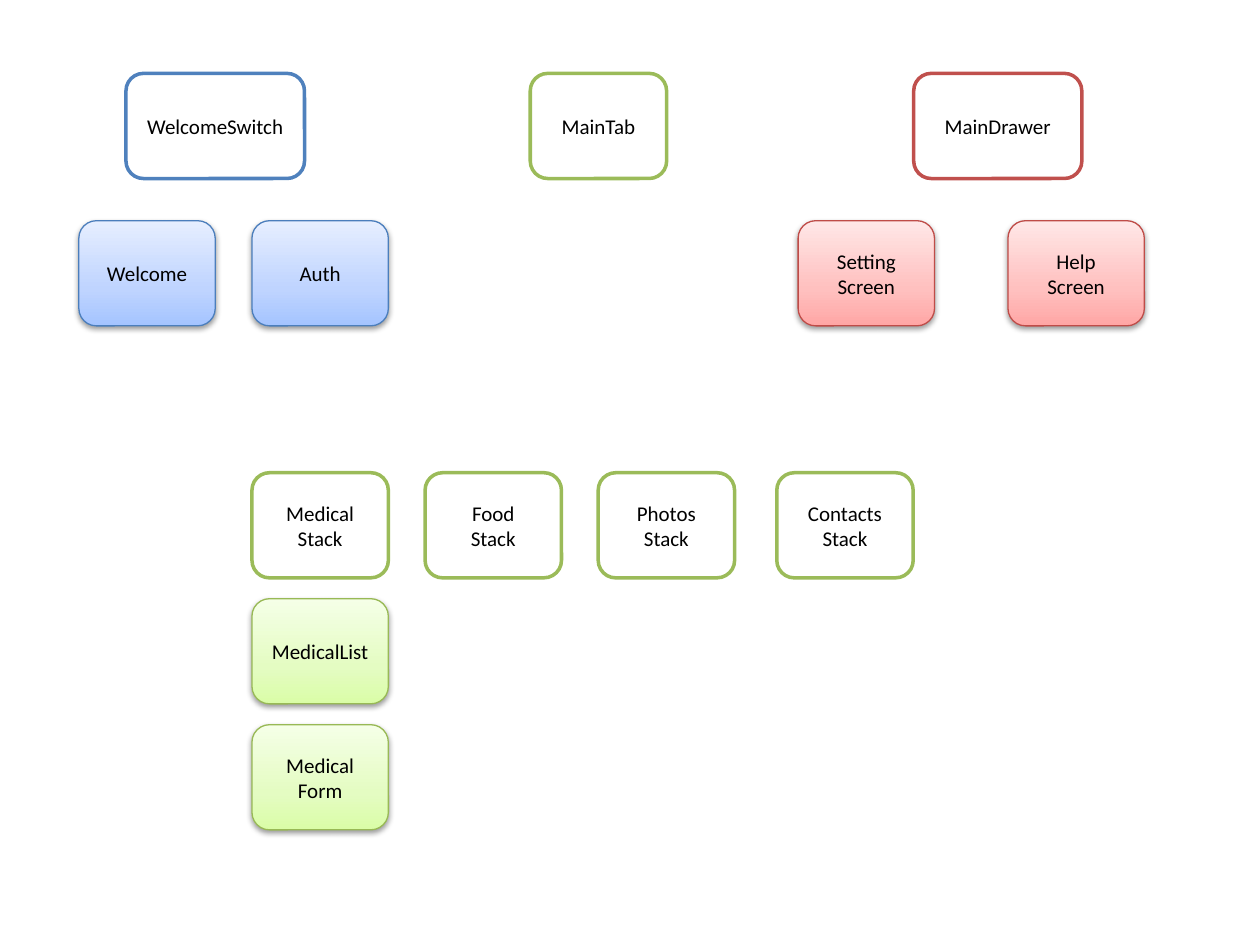
from dataclasses import dataclass

from lxml.etree import SubElement
from pptx import Presentation
from pptx.dml.color import RGBColor
from pptx.enum.shapes import MSO_SHAPE
from pptx.enum.text import MSO_ANCHOR, PP_ALIGN
from pptx.oxml.ns import qn
from pptx.util import Cm, Pt


@dataclass(frozen=True)
class Tint:
    """Colours of one navigator family."""
    frame: str
    edge: str
    stops: tuple


@dataclass(frozen=True)
class Theme:
    """Colours, type and line sizes of the slide."""
    blue: Tint = Tint("4F81BD", "4B7EBC", ("A4C4FF", "BFD4FF", "E6EEFF"))
    green: Tint = Tint("9BBB59", "98B955", ("DAFDA7", "E4FCC2", "F5FFE7"))
    red: Tint = Tint("C0504D", "BF4C48", ("FFA6A5", "FFC0BF", "FFE7E7"))
    paper: str = "FFFFFF"
    ink: str = "000000"
    font: str = "Calibri"
    size: float = 12
    thick: float = 2
    thin: float = 0.75


THEME = Theme()
WIDTH, HEIGHT = 2.75, 2.12
LEFT, PITCH = 1.59, 3.49
TOP, SCREENS, STACKS, STEP = 1.48, 4.45, 9.53, 2.54


def add_color(parent, value, alpha=None):
    """Add an RGB colour, with opacity in percent if given."""
    color = SubElement(parent, qn("a:srgbClr"), val=value)
    if alpha is not None:
        SubElement(color, qn("a:alpha"), val=str(alpha * 1000))


def add_fade(shape, stops):
    """Fill a shape with three stops running from bottom to top."""
    shape.fill.gradient()
    shape.fill.gradient_angle = 90
    rail = shape._element.spPr.find(qn("a:gradFill")).find(qn("a:gsLst"))
    for stop in list(rail):
        rail.remove(stop)
    for place, value in zip((0, 35, 100), stops):
        add_color(SubElement(rail, qn("a:gs"), pos=str(place * 1000)), value)


def add_shadow(shape):
    """Drop a soft shadow just below a shape."""
    effects = shape._element.spPr.find(qn("a:effectLst"))
    drop = SubElement(effects, qn("a:outerShdw"), blurRad=str(Pt(3.15)),
                      dist=str(Pt(1.57)), dir="5400000", rotWithShape="0")
    add_color(drop, THEME.ink, 38)


def add_box(slide, text, left, top, width=WIDTH):
    """Add a rounded box with centred text."""
    box = slide.shapes.add_shape(MSO_SHAPE.ROUNDED_RECTANGLE, Cm(left),
                                 Cm(top), Cm(width), Cm(HEIGHT))
    box.shadow.inherit = False
    frame = box.text_frame
    frame.text = text
    frame.word_wrap = True
    frame.vertical_anchor = MSO_ANCHOR.MIDDLE
    for line in frame.paragraphs:
        line.alignment = PP_ALIGN.CENTER
        line.font.name = THEME.font
        line.font.size = Pt(THEME.size)
        line.font.color.rgb = RGBColor.from_string(THEME.ink)
    return box


def set_line(box, value, width):
    """Set the outline of a box."""
    box.line.color.rgb = RGBColor.from_string(value)
    box.line.width = Pt(width)


def add_group(slide, tint, text, left, top, width=WIDTH):
    """Add a white, outlined navigator box."""
    box = add_box(slide, text, left, top, width)
    box.fill.solid()
    box.fill.fore_color.rgb = RGBColor.from_string(THEME.paper)
    set_line(box, tint.frame, THEME.thick)


def add_screen(slide, tint, text, left, top):
    """Add a shaded screen box."""
    box = add_box(slide, text, left, top)
    add_fade(box, tint.stops)
    set_line(box, tint.edge, THEME.thin)
    add_shadow(box)


def main():
    """Build the navigation map."""
    deck = Presentation()
    deck.slide_width, deck.slide_height = Cm(25.4), Cm(19.05)
    slide = deck.slides.add_slide(deck.slide_layouts[6])
    cols = [LEFT + PITCH * i for i in range(4)]

    add_group(slide, THEME.blue, "WelcomeSwitch", 2.54, TOP, 3.6)
    add_group(slide, THEME.green, "MainTab", 10.69, TOP)
    add_group(slide, THEME.red, "MainDrawer", 18.42, TOP, 3.39)

    for text, left in zip(("Welcome", "Auth"), cols):
        add_screen(slide, THEME.blue, text, left, SCREENS)
    for text, left in (("Setting Screen", 16.09), ("Help Screen", 20.32)):
        add_screen(slide, THEME.red, text, left, SCREENS)

    names = ("Medical", "Food", "Photos", "Contacts")
    for name, left in zip(names, cols[1:] + [15.66]):
        add_group(slide, THEME.green, f"{name}\nStack", left, STACKS)
    for row, text in enumerate(("MedicalList", "Medical\vForm"), 1):
        add_screen(slide, THEME.green, text, cols[1], STACKS + STEP * row)

    deck.save("out.pptx")


main()
